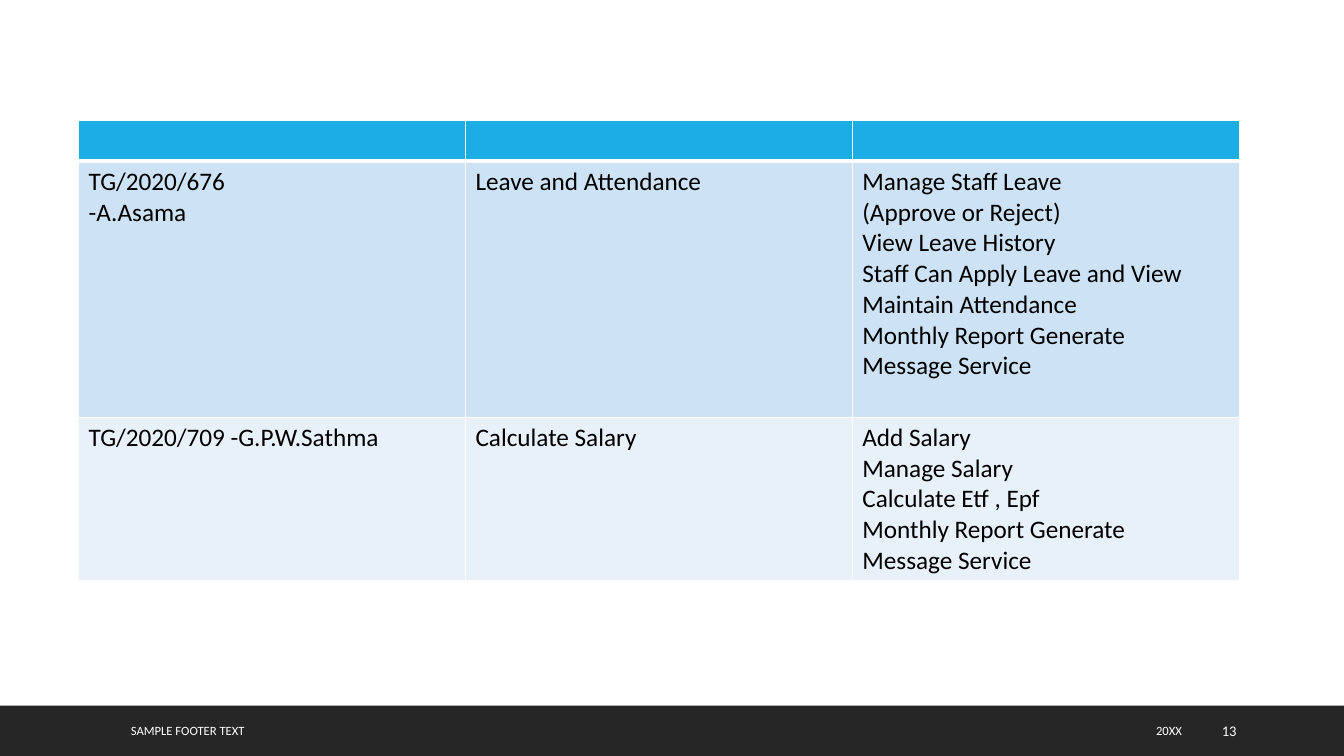
from lxml.etree import SubElement
from pptx import Presentation
from pptx.dml.color import RGBColor
from pptx.enum.shapes import MSO_SHAPE
from pptx.enum.text import MSO_ANCHOR, PP_ALIGN
from pptx.oxml.ns import qn
from pptx.util import Inches, Pt


def color(value):
    return RGBColor.from_string(value)


def write(frame, text, size=18, ink="000000", font="Calibri", align=PP_ALIGN.LEFT):
    for index, line in enumerate(text.split("\n")):
        para = frame.paragraphs[0] if index == 0 else frame.add_paragraph()
        para.alignment = align
        span = para.add_run()
        span.text = line
        span.font.name = font
        span.font.size = Pt(size)
        span.font.color.rgb = color(ink)


class SlideBuilder:
    white = "FFFFFF"
    bar_fill = "262626"
    row_fills = ["1CADE4", "CDE3F5", "E8F1FA"]

    def __init__(self, page):
        self.page = page

    def bar(self, left, top, width, height):
        shape = self.page.shapes.add_shape(
            MSO_SHAPE.RECTANGLE, Inches(left), Inches(top), Inches(width), Inches(height))
        shape.shadow.inherit = False
        shape.fill.solid()
        shape.fill.fore_color.rgb = color(self.bar_fill)
        shape.line.fill.background()

    def footer(self, text, left, width, size=9, align=PP_ALIGN.LEFT):
        box = self.page.shapes.add_textbox(
            Inches(left), Inches(7.05), Inches(width), Inches(0.4))
        frame = box.text_frame
        frame.word_wrap = True
        frame.vertical_anchor = MSO_ANCHOR.MIDDLE
        write(frame, text, size=size, ink=self.white, align=align)

    def border(self, cell, side, width):
        properties = cell._tc.get_or_add_tcPr()
        line = SubElement(properties, qn(f"a:ln{side}"), w=str(Pt(width)))
        fill = SubElement(line, qn("a:solidFill"))
        SubElement(fill, qn("a:srgbClr"), val=self.white)

    def table(self, rows, left, top, width, heights):
        frame = self.page.shapes.add_table(
            len(rows), len(rows[0]), Inches(left), Inches(top),
            Inches(width), Inches(sum(heights)))
        grid = frame.table
        for row_index, texts in enumerate(rows):
            grid.rows[row_index].height = Inches(heights[row_index])
            for column_index, text in enumerate(texts):
                cell = grid.cell(row_index, column_index)
                widths = {"L": 1, "R": 1,
                          "T": 3 if row_index == 1 else 1,
                          "B": 3 if row_index == 0 else 1}
                for side, line_width in widths.items():
                    self.border(cell, side, line_width)
                cell.fill.solid()
                cell.fill.fore_color.rgb = color(self.row_fills[row_index])
                if text:
                    write(cell.text_frame, text)


def main():
    deck = Presentation()
    deck.slide_width = Inches(13.33)
    deck.slide_height = Inches(7.5)
    builder = SlideBuilder(deck.slides.add_slide(deck.slide_layouts[6]))

    builder.bar(0, 7, 13.33, 0.5)
    builder.footer("20XX", 8.99, 2.83, align=PP_ALIGN.RIGHT)
    builder.footer("SAMPLE FOOTER TEXT", 1.2, 7.46)
    builder.footer("13", 12.02, 0.85, size=10.5)

    leave_tasks = "\n".join([
        "Manage Staff Leave", "(Approve or Reject)", "View Leave History",
        "Staff Can Apply Leave and View", "Maintain Attendance",
        "Monthly Report Generate", "Message Service"])
    salary_tasks = "\n".join([
        "Add Salary", "Manage Salary", "Calculate Etf , Epf",
        "Monthly Report Generate", "Message Service"])
    builder.table([
        ["", "", ""],
        ["TG/2020/676\n-A.Asama", "Leave and Attendance", leave_tasks],
        ["TG/2020/709 -G.P.W.Sathma", "Calculate Salary", salary_tasks],
    ], 0.78, 1.19, 11.51, [0.41, 2.54, 1.62])

    deck.save("out.pptx")


if __name__ == "__main__":
    main()
